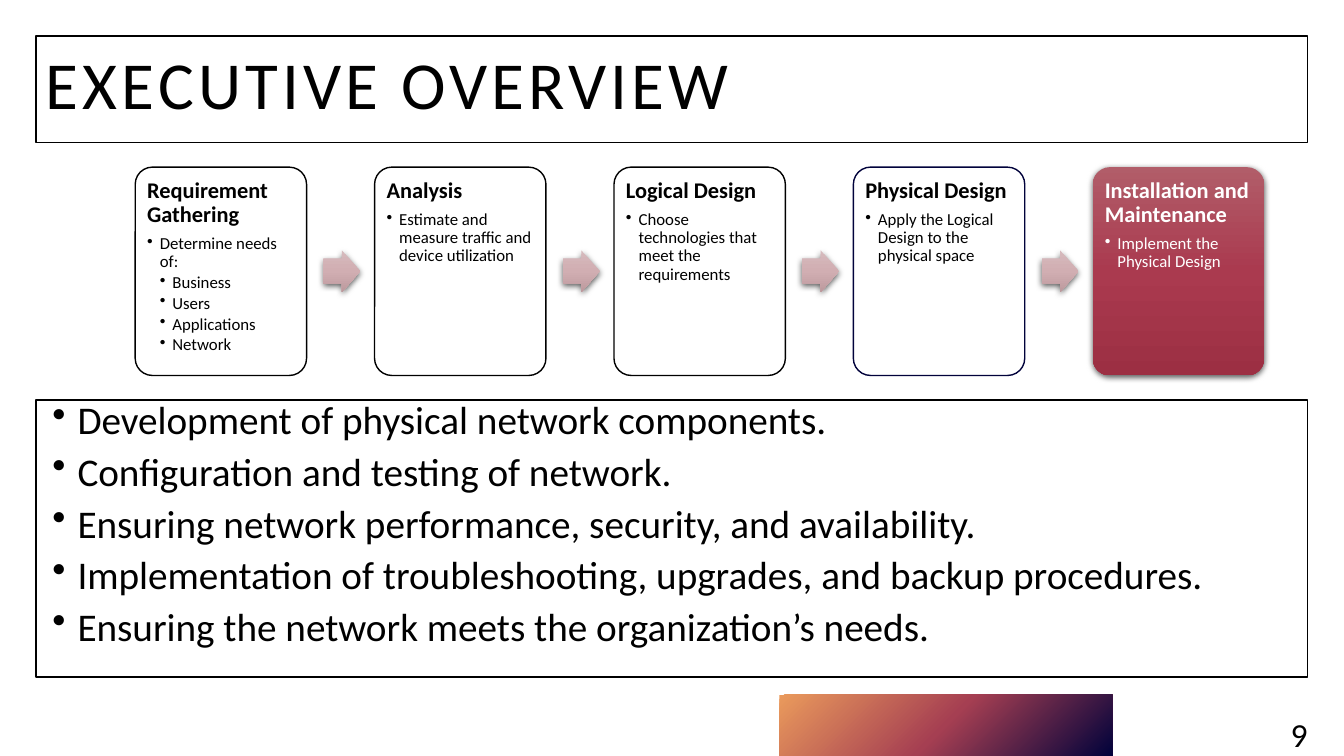
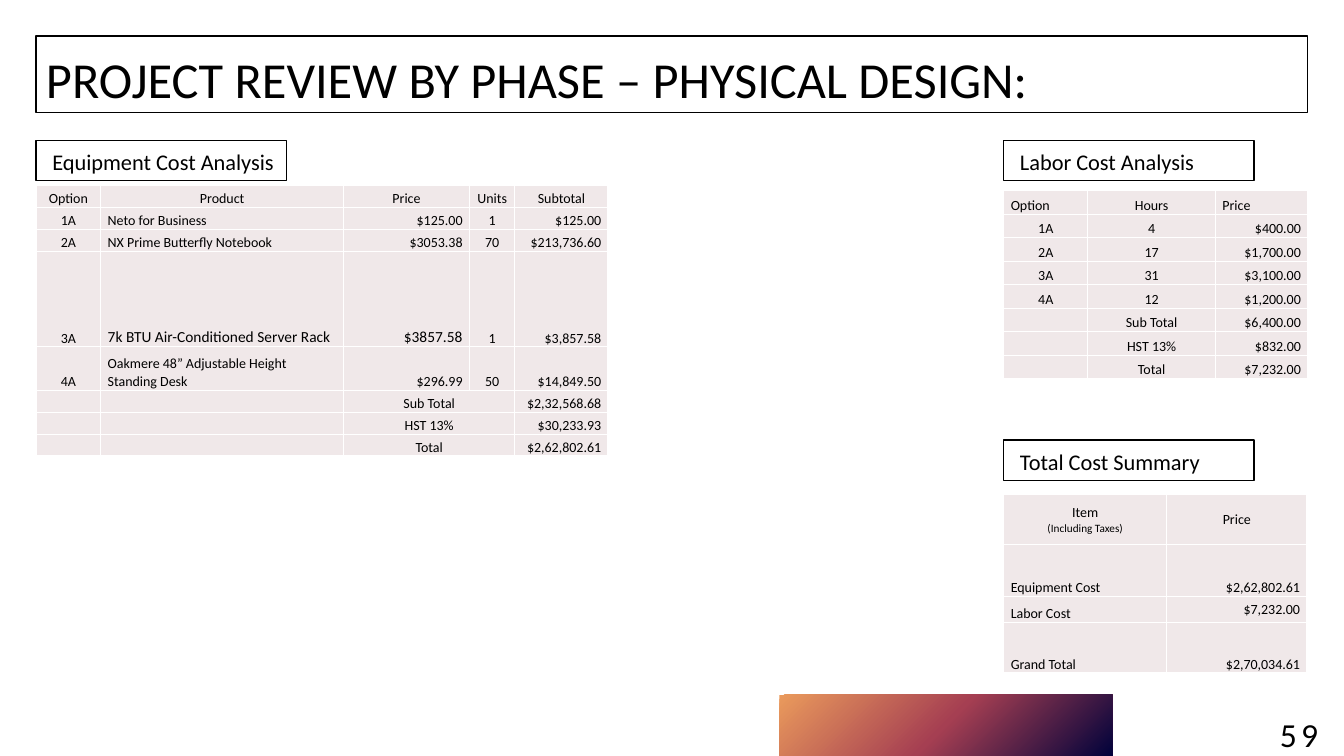
from dataclasses import dataclass
from lxml.etree import SubElement
from pptx import Presentation
from pptx.dml.color import RGBColor
from pptx.enum.shapes import MSO_SHAPE as Shape
from pptx.enum.text import MSO_ANCHOR as Anchor, PP_ALIGN as Align
from pptx.oxml import parse_xml
from pptx.oxml.ns import nsdecls, qn
from pptx.util import Emu, Pt


@dataclass(frozen=True)
class Theme:
    font: str = "Calibri"
    ink: str = "000000"
    paper: str = "FFFFFF"
    navy: str = "01023B"
    cell: str = "F0E8E9"
    band: tuple = ("01023B", "A53F52", "EA9A5C")
    arrow: tuple = ("D6BABD", "D1AEB2", "BC999D")
    active: tuple = ("B15D69", "AA3A4F", "9C2F43")
    title: int = 48
    long_title: int = 36
    body: int = 28
    number: int = 24
    heading: int = 16
    detail: int = 12
    accent: int = 11
    table: int = 10
    note: int = 8


theme = Theme()
COLUMNS, ROWS, UNIT = 160, 90, 76200
MARGIN = 4.3
CONTENT = COLUMNS - 2 * MARGIN
RADIAL = '<a:path path="circle"><a:fillToRect l="100000" t="100000"/></a:path>'
LINEAR = '<a:lin ang="5400000" scaled="0"/>'


def write_text(frame, text, size, color=theme.ink, bold=False, align=Align.LEFT, line=1.0,
               before=0, after=0, left=0, hanging=0, spacing=0):
    first = not frame.text
    paragraph = frame.paragraphs[0] if first else frame.add_paragraph()
    paragraph.alignment = align
    paragraph.line_spacing = line
    paragraph.space_before = Pt(0 if first else before)
    paragraph.space_after = Pt(after)
    properties = paragraph._p.get_or_add_pPr()
    properties.set("marL", str(Pt(left)))
    properties.set("indent", str(-Pt(hanging)))
    if hanging:
        SubElement(properties, qn("a:buChar"), char="•")
    if not text:
        SubElement(paragraph._p, qn("a:endParaRPr"), sz=str(size * 100))
        return
    run = paragraph.add_run()
    run.text = text
    run.font.name = theme.font
    run.font.size = Pt(size)
    run.font.bold = bold
    run.font.color.rgb = RGBColor.from_string(color)
    if spacing:
        run._r.get_or_add_rPr().set("spc", str(spacing * 100))


def add_box(slide, kind, area, fill=theme.paper, line=None, direction=LINEAR, shadow=False):
    shape = slide.shapes.add_shape(kind, *[int(length * UNIT) for length in area])
    shape.shadow.inherit = False
    if isinstance(fill, tuple):
        stops = "".join(f'<a:gs pos="{i * 50000}"><a:srgbClr val="{color}"/></a:gs>'
                        for i, color in enumerate(fill))
        shape._element.spPr.insert(2, parse_xml(
            f'<a:gradFill {nsdecls("a")} rotWithShape="1"><a:gsLst>{stops}</a:gsLst>{direction}</a:gradFill>'))
    else:
        shape.fill.solid()
        shape.fill.fore_color.rgb = RGBColor.from_string(fill)
    if line:
        shape.line.color.rgb = RGBColor.from_string(line)
        shape.line.width = Pt(1)
    else:
        shape.line.fill.background()
    if shadow:
        shape._element.spPr.find(qn("a:effectLst")).append(parse_xml(
            f'<a:outerShdw {nsdecls("a")} blurRad="57150" dist="19050" dir="5400000" algn="ctr" rotWithShape="0">'
            '<a:srgbClr val="000000"><a:alpha val="63000"/></a:srgbClr></a:outerShdw>'))
    shape.text_frame.word_wrap = True
    shape.text_frame.vertical_anchor = Anchor.TOP
    return shape


presentation = Presentation()
presentation.slide_width = Emu(COLUMNS * UNIT)
presentation.slide_height = Emu(ROWS * UNIT)

pages = [
    ("EXECUTIVE OVERVIEW", "9", theme.title, 12.7, 0.8, 3),
    ("PROJECT REVIEW BY PHASE – PHYSICAL DESIGN:", "59", theme.long_title, 9.1, 1.4, 0),
]
for title, number, size, height, inset, spacing in pages:
    slide = presentation.slides.add_slide(presentation.slide_layouts[6])
    add_box(slide, Shape.RECTANGLE, (92.8, 82.7, 39.6, 7.3), theme.band, direction=RADIAL)
    number_box = slide.shapes.add_textbox(*[int(length * UNIT) for length in (150.5, 82, 8.3, 4.8)])
    number_box.text_frame.word_wrap = True
    write_text(number_box.text_frame, number, theme.number, align=Align.CENTER, line=1.5, spacing=3)
    title_box = add_box(slide, Shape.RECTANGLE, (MARGIN, MARGIN, CONTENT, height), line=theme.ink)
    title_box.text_frame.margin_top = int(inset * UNIT)
    write_text(title_box.text_frame, title, size, spacing=spacing)

overview, costs = presentation.slides

goals_box = add_box(overview, Shape.RECTANGLE, (MARGIN, 47.6, CONTENT, 33), line=theme.ink)
for goal in [
    "Development of physical network components.",
    "Configuration and testing of network.",
    "Ensuring network performance, security, and availability.",
    "Implementation of troubleshooting, upgrades, and backup procedures.",
    "Ensuring the network meets the organization’s needs.",
]:
    write_text(goals_box.text_frame, goal, theme.body, align=Align.JUSTIFY, line=0.8,
               before=10, left=22.5, hanging=18)

phases = [
    ("Requirement Gathering", "Determine needs of:", ["Business", "Users", "Applications", "Network"]),
    ("Analysis", "Estimate and measure traffic and device utilization", []),
    ("Logical Design", "Choose technologies that meet the requirements", []),
    ("Physical Design", "Apply the Logical Design to the physical space", []),
    ("Installation and Maintenance", "Implement the Physical Design", []),
]
card_left, card_top, card_width, card_height, card_pitch = 16.1, 19.9, 20.4, 24.8, 28.5
arrow_width, arrow_height = 4.4, 5
for index, (heading, detail, needs) in enumerate(phases):
    left = card_left + index * card_pitch
    active = index == len(phases) - 1
    outline = None if active else theme.navy if index == 3 else theme.ink
    color = theme.paper if active else theme.ink
    card = add_box(overview, Shape.ROUNDED_RECTANGLE, (left, card_top, card_width, card_height),
                   theme.active if active else theme.paper, outline, shadow=active)
    card.adjustments[0] = 0.1
    frame = card.text_frame
    frame.margin_left = frame.margin_right = frame.margin_top = frame.margin_bottom = Pt(5)
    write_text(frame, heading, theme.heading, color, bold=True, line=0.9, after=5.6)
    for text, indent in [(detail, 9)] + [(need, 18) for need in needs]:
        write_text(frame, text, theme.detail, color, line=0.9, after=1.8, left=indent, hanging=9)
    if not active:
        arrow = add_box(overview, Shape.RIGHT_ARROW,
                        (left + card_width + 2, card_top + (card_height - arrow_height) / 2,
                         arrow_width, arrow_height), theme.arrow, shadow=True)
        arrow.adjustments[0] = 0.6

right_column = 119.5
label_height = 4.8
aligns = {"l": Align.LEFT, "c": Align.CENTER, "r": Align.RIGHT}
sections = [
    dict(
        label="Equipment Cost Analysis", left=MARGIN, label_top=16.7, top=22.1,
        widths=[7.7, 28.9, 15, 5.4, 11.1], heights=[2.6] * 3 + [11.4, 5.2] + [2.6] * 3,
        head="ccccc", body="clrcr", accents=[(3, 1), (3, 2)], middles=[], merged=[5, 6, 7],
        cells=[
            ["Option", "Product", "Price", "Units", "Subtotal"],
            ["1A", "Neto for Business", "$125.00", "1", "$125.00"],
            ["2A", "NX Prime Butterfly Notebook", "$3053.38", "70", "$213,736.60"],
            ["3A", "7k BTU Air-Conditioned Server Rack", "$3857.58", "1", "$3,857.58"],
            ["4A", "Oakmere 48” Adjustable Height Standing Desk", "$296.99", "50", "$14,849.50"],
            ["", "", "Sub Total", "", "$2,32,568.68"],
            ["", "", "HST 13%", "", "$30,233.93"],
            ["", "", "Total", "", "$2,62,802.61"],
        ]),
    dict(
        label="Labor Cost Analysis", left=right_column, label_top=16.7, top=22.7,
        widths=[10, 15.2, 11], heights=[2.8] * 8,
        head="lcl", body="ccr", accents=[], middles=[], merged=[],
        cells=[
            ["Option", "Hours", "Price"],
            ["1A", "4", "$400.00"],
            ["2A", "17", "$1,700.00"],
            ["3A", "31", "$3,100.00"],
            ["4A", "12", "$1,200.00"],
            ["", "Sub Total", "$6,400.00"],
            ["", "HST 13%", "$832.00"],
            ["", "Total", "$7,232.00"],
        ]),
    dict(
        label="Total Cost Summary", left=right_column, label_top=52.4, top=58.9,
        widths=[19.4, 16.7], heights=[5.9, 6.2, 3.1, 6],
        head="cc", body="lr", accents=[], middles=[(0, 0), (0, 1), (2, 1)], merged=[],
        cells=[
            ["Item\n(Including Taxes)", "Price"],
            ["Equipment Cost", "$2,62,802.61"],
            ["Labor Cost", "$7,232.00"],
            ["Grand Total", "$2,70,034.61"],
        ]),
]
for section in sections:
    label_box = add_box(costs, Shape.RECTANGLE, (section["left"], section["label_top"], 29.8, label_height),
                        line=theme.ink)
    write_text(label_box.text_frame, section["label"], theme.heading, align=Align.JUSTIFY, line=1.1, left=4.5)

    widths, heights = section["widths"], section["heights"]
    area = (section["left"], section["top"], sum(widths), sum(heights))
    table = costs.shapes.add_table(len(heights), len(widths), *[int(length * UNIT) for length in area]).table
    table.first_row = table.horz_banding = False
    for column, width in zip(table.columns, widths):
        column.width = int(width * UNIT)
    for row, height in zip(table.rows, heights):
        row.height = int(height * UNIT)
    for r, values in enumerate(section["cells"]):
        for c, value in enumerate(values):
            cell = table.cell(r, c)
            cell.margin_left = cell.margin_right = Pt(5)
            cell.margin_top = cell.margin_bottom = 0
            cell.vertical_anchor = Anchor.MIDDLE if (r, c) in section["middles"] else Anchor.BOTTOM
            for side in "LRTB":
                cell._tc.get_or_add_tcPr().append(parse_xml(
                    f'<a:ln{side} {nsdecls("a")} w="12700"><a:solidFill><a:srgbClr val="{theme.paper}"/>'
                    f'</a:solidFill></a:ln{side}>'))
            cell.fill.solid()
            cell.fill.fore_color.rgb = RGBColor.from_string(theme.cell)
            spanning = r in section["merged"] and c == 2
            align = "c" if spanning else section["body" if r else "head"][c]
            size = theme.accent if (r, c) in section["accents"] else theme.table
            for position, text in enumerate(value.split("\n")):
                write_text(cell.text_frame, text, theme.note if position else size,
                           align=aligns[align], line=1.07)
    for r in section["merged"]:
        table.cell(r, 2).merge(table.cell(r, 3))

presentation.save("out.pptx")
